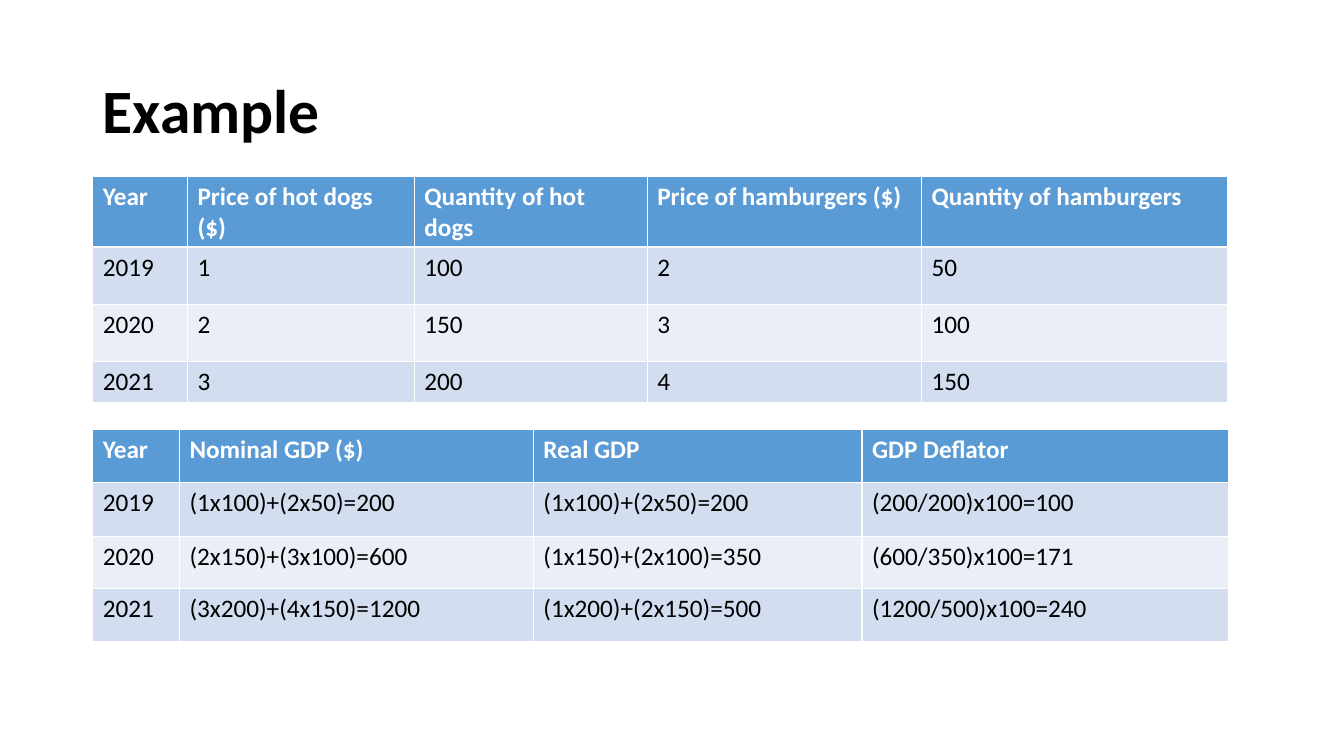
from pptx import Presentation
from pptx.dml.color import RGBColor
from pptx.enum.text import MSO_ANCHOR
from pptx.util import Inches, Pt

WIDTH, HEIGHT = 13.33, 7.5
LEFT = 0.92
HEADER, BANDS = "5B9BD5", ("D2DEEF", "EAEFF7")


def color(value):
    return RGBColor.from_string(value)


def add_run(paragraph, text, size, ink, bold):
    run = paragraph.add_run()
    run.text = text
    run.font.name = "Calibri"
    run.font.size = Pt(size)
    run.font.bold = bold
    run.font.color.rgb = color(ink)


deck = Presentation()
deck.slide_width, deck.slide_height = Inches(WIDTH), Inches(HEIGHT)
slide = deck.slides.add_slide(deck.slide_layouts[6])

heading = slide.shapes.add_textbox(
    Inches(LEFT), Inches(0.4), Inches(WIDTH - 2 * LEFT), Inches(1.45)
).text_frame
heading.word_wrap = True
heading.vertical_anchor = MSO_ANCHOR.MIDDLE
heading.paragraphs[0].line_spacing = 0.9
add_run(heading.paragraphs[0], "Example", 44, "000000", True)

prices = [
    ("Year", "Price of hot dogs ($)", "Quantity of hot dogs",
     "Price of hamburgers ($)", "Quantity of hamburgers"),
    ("2019", "1", "100", "2", "50"),
    ("2020", "2", "150", "3", "100"),
    ("2021", "3", "200", "4", "150"),
]
gdp = [
    ("Year", "Nominal GDP ($)", "Real GDP", "GDP Deflator"),
    ("2019", "(1x100)+(2x50)=200", "(1x100)+(2x50)=200", "(200/200)x100=100"),
    ("2020", "(2x150)+(3x100)=600", "(1x150)+(2x100)=350", "(600/350)x100=171"),
    ("2021", "(3x200)+(4x150)=1200", "(1x200)+(2x150)=500", "(1200/500)x100=240"),
]

# Each table: content, top, frame height, column widths, row heights
tables = [
    (prices, 1.75, 2.23, (0.94, 2.25, 2.31, 2.72, 3.04), (0.57, 0.57, 0.57, 0.39)),
    (gdp, 4.26, 2.09, (0.86, 3.51, 3.26, 3.64), (0.53, 0.53, 0.52, 0.53)),
]

for content, top, height, widths, row_heights in tables:
    frame = slide.shapes.add_table(
        len(content), len(widths),
        Inches(LEFT), Inches(top), Inches(sum(widths)), Inches(height),
    )
    table = frame.table
    for column, width in zip(table.columns, widths):
        column.width = Inches(width)
    for row_index, (row, row_height) in enumerate(zip(table.rows, row_heights)):
        row.height = Inches(row_height)
        is_header = row_index == 0
        fill = HEADER if is_header else BANDS[(row_index - 1) % 2]
        ink = "FFFFFF" if is_header else "000000"
        for cell, text in zip(row.cells, content[row_index]):
            cell.fill.solid()
            cell.fill.fore_color.rgb = color(fill)
            add_run(cell.text_frame.paragraphs[0], text, 18, ink, is_header)
    frame.height = Inches(height)

deck.save("out.pptx")
